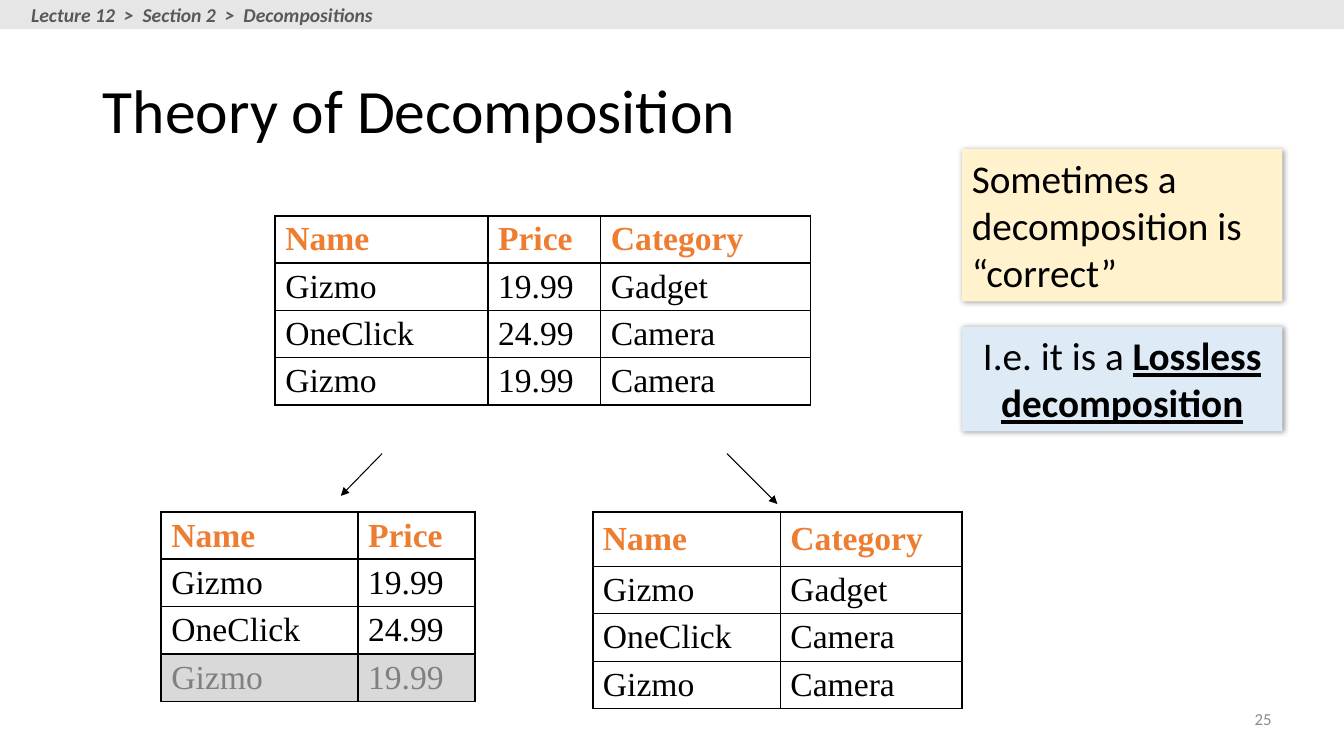
from dataclasses import dataclass
from lxml import etree
from pptx import Presentation
from pptx.dml.color import RGBColor
from pptx.enum import shapes, text
from pptx.oxml import ns
from pptx.util import Inches, Pt


@dataclass(frozen=True)
class Theme:
    sans: str = "Calibri"
    serif: str = "Times New Roman"
    ink: str = "000000"
    head: str = "ED7D31"
    dim: str = "808080"
    shade: str = "D9D9D9"
    bar: str = "E7E6E6"
    crumb: str = "595959"
    page: str = "8C8C8C"
    cream: str = "FFF2CC"
    sky: str = "DEEBF7"
    title: int = 44
    note: int = 28
    cell: int = 24
    small: int = 14
    tiny: int = 12
    thick: float = 1.5
    thin: float = 1
    hair: float = 0.75


T = Theme()
ROW = 0.47


def inches(box):
    return [Inches(v) for v in box]


def paint(fill, color):
    fill.solid()
    fill.fore_color.rgb = RGBColor.from_string(color)


def node(root, tag, **attrs):
    return etree.SubElement(root, ns.qn(tag), attrs)


def write(frame, runs, size, color=T.ink, font=T.sans, align=None, **style):
    """Fill the first paragraph with (words, extra format) runs."""
    para = frame.paragraphs[0]
    para.alignment = align
    for words, extra in runs:
        run = para.add_run()
        run.text = words
        look = {"size": Pt(size), "name": font, **style, **extra}
        for key, value in look.items():
            setattr(run.font, key, value)
        run.font.color.rgb = RGBColor.from_string(color)
    return para


def block(slide, box, color):
    shape = slide.shapes.add_shape(shapes.MSO_SHAPE.RECTANGLE, *inches(box))
    shape.shadow.inherit = False
    paint(shape.fill, color)
    shape.line.fill.background()
    return shape


def label(slide, box, words, size, color, wrap=True, align=None,
          anchor=text.MSO_ANCHOR.TOP, **style):
    frame = slide.shapes.add_textbox(*inches(box)).text_frame
    frame.word_wrap = wrap
    frame.vertical_anchor = anchor
    write(frame, [(words, {})], size, color, align=align, **style)


def crumbs(slide, box):
    left, top, wide, high = box
    block(slide, box, T.bar)
    label(slide, (left + 0.21, top - 0.02, 3.64, high + 0.05),
          "Lecture 12  >  Section 2  >  Decompositions",
          T.small, T.crumb, wrap=False, bold=True, italic=True)


def heading(slide, box, words):
    title = slide.shapes.title
    title.left, title.top, title.width, title.height = inches(box)
    frame = title.text_frame
    frame.vertical_anchor = text.MSO_ANCHOR.MIDDLE
    para = write(frame, [(words, {})], T.title, align=text.PP_ALIGN.LEFT)
    para.line_spacing = 0.9


def card(slide, box, color, runs, align):
    """Add a filled note with a soft shadow."""
    shape = block(slide, box, color)
    effects = shape._element.spPr.find(ns.qn("a:effectLst"))
    shadow = node(effects, "a:outerShdw", blurRad=str(Pt(4)), dist=str(Pt(1)),
                  dir="2700000", algn="tl", rotWithShape="0")
    black = node(shadow, "a:srgbClr", val=T.ink)
    node(black, "a:alpha", val="40000")
    frame = shape.text_frame
    frame.word_wrap = True
    frame.vertical_anchor = text.MSO_ANCHOR.TOP
    write(frame, runs, T.note, align=align)


def border(cell, widths):
    """Rule the left, right, top and bottom sides, in that order."""
    props = cell._tc.get_or_add_tcPr()
    for i, (side, width) in enumerate(zip("LRTB", widths)):
        line = etree.Element(ns.qn(f"a:ln{side}"), w=str(Pt(width)))
        node(node(line, "a:solidFill"), "a:srgbClr", val=T.ink)
        props.insert(i, line)


def grid(slide, spot, cols, rows, top=ROW, faded=()):
    """Draw a relation with a header row; faded lists its greyed rows."""
    heights = [top] + [ROW] * (len(rows) - 1)
    frame = slide.shapes.add_table(
        len(rows), len(cols), *inches((*spot, sum(cols), sum(heights))))
    table = frame.table
    table.first_row = table.horz_banding = False
    for col, wide in zip(table.columns, cols):
        col.width = Inches(wide)
    for row, high in zip(table.rows, heights):
        row.height = Inches(high)
    for r, row in enumerate(rows):
        for c, words in enumerate(row):
            cell = table.cell(r, c)
            cell.vertical_anchor = text.MSO_ANCHOR.MIDDLE
            if r in faded:
                paint(cell.fill, T.shade)
            else:
                cell.fill.background()
            color = T.head if r == 0 else T.dim if r in faded else T.ink
            write(cell.text_frame, [(words, {})], T.cell, color, T.serif,
                  bold=r == 0)
            edges = (c == 0, c == len(cols) - 1,
                     r < 2, r in (0, len(rows) - 1))
            border(cell, [T.thick if edge else T.thin for edge in edges])


def arrow(slide, start, end):
    line = slide.shapes.add_connector(
        shapes.MSO_CONNECTOR.STRAIGHT, *inches((*start, *end)))
    line.line.width = Pt(T.hair)
    line.line.color.rgb = RGBColor.from_string(T.ink)
    node(line.line._get_or_add_ln(), "a:tailEnd", type="triangle")
    node(line._element.spPr, "a:effectLst")


def split(slide, box):
    """Draw the relation above and its two projections below."""
    x, y = box
    data = [("Name", "Price", "Category"), ("Gizmo", "19.99", "Gadget"),
            ("OneClick", "24.99", "Camera"), ("Gizmo", "19.99", "Camera")]
    low = y + 2.94
    grid(slide, (x + 1.13, y), (2.11, 1.12, 2.08), data)
    grid(slide, (x, low), (1.95, 1.16), [row[:2] for row in data], faded=(3,))
    grid(slide, (x + 4.28, low), (1.86, 1.8),
         [row[::2] for row in data], top=0.54)
    arrow(slide, (x + 2.19, y + 2.36), (x + 1.78, y + 2.78))
    arrow(slide, (x + 5.61, y + 2.36), (x + 6.11, y + 2.86))


def notes(slide, box):
    left, top, wide = box
    card(slide, (left, top + 1.76, wide, 1.04), T.sky,
         [("I.e. it is a ", {}),
          ("Lossless decomposition", {"bold": True, "underline": True})],
         text.PP_ALIGN.CENTER)
    card(slide, (left, top, wide, 1.51), T.cream,
         [("Sometimes a decomposition is “correct”", {})],
         text.PP_ALIGN.LEFT)


def main():
    deck = Presentation()
    deck.slide_width, deck.slide_height = inches((13.33, 7.5))
    slide = deck.slides.add_slide(deck.slide_layouts[5])
    heading(slide, (0.92, 0.4, 11.5, 1.45), "Theory of Decomposition")
    split(slide, (1.6, 2.14))
    notes(slide, (9.54, 1.48, 3.18))
    crumbs(slide, (0, 0, 13.33, 0.29))
    label(slide, (10.38, 6.93, 2.33, 0.4), "25", T.tiny, T.page,
          align=text.PP_ALIGN.RIGHT, anchor=text.MSO_ANCHOR.MIDDLE)
    deck.save("out.pptx")


if __name__ == "__main__":
    main()
